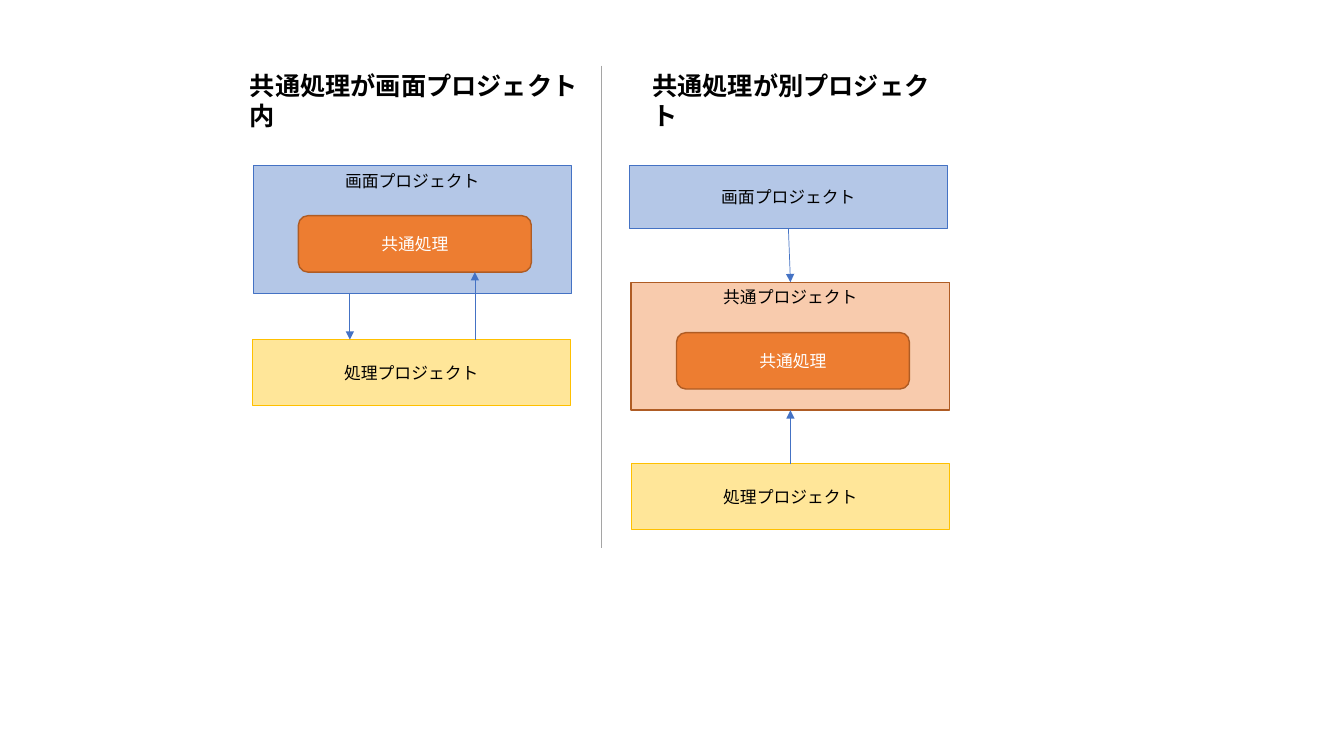
from dataclasses import dataclass

from lxml import etree
from pptx import Presentation
from pptx.dml.color import RGBColor
from pptx.enum.shapes import MSO_CONNECTOR, MSO_SHAPE
from pptx.enum.text import MSO_ANCHOR, MSO_AUTO_SIZE, PP_ALIGN
from pptx.oxml.ns import qn
from pptx.util import Inches, Pt

RECT, ROUNDED = MSO_SHAPE.RECTANGLE, MSO_SHAPE.ROUNDED_RECTANGLE
STRAIGHT = MSO_CONNECTOR.STRAIGHT
TOP, MIDDLE = MSO_ANCHOR.TOP, MSO_ANCHOR.MIDDLE
LEFT, CENTER = PP_ALIGN.LEFT, PP_ALIGN.CENTER
GROW = MSO_AUTO_SIZE.SHAPE_TO_FIT_TEXT
TOP_SIDE, BOTTOM_SIDE = 0, 2


@dataclass(frozen=True)
class Theme:
    font: str = "Noto Sans CJK JP"
    heading_size: int = 18
    label_size: int = 12
    thin: float = 0.5
    thick: float = 1
    dark: str = "000000"
    light: str = "FFFFFF"
    arrow: str = "4472C4"
    divider: str = "A5A5A5"


THEME = Theme()
STYLES = {
    "screen": ("B4C7E7", "4472C4", THEME.thin, THEME.dark),
    "process": ("FFE699", "FFC000", THEME.thin, THEME.dark),
    "common": ("F8CBAD", "AF5C24", THEME.thick, THEME.dark),
    "shared": ("ED7D31", "AF5C24", THEME.thick, THEME.light),
}

HEADINGS = [
    ("共通処理が画面プロジェクト内", 2.38, 3.46),
    ("共通処理が別プロジェクト", 6.37, 2.95),
]
SCREEN, PROCESS = "画面プロジェクト", "処理プロジェクト"
COMMON, SHARED = "共通プロジェクト", "共通処理"

HEAD_TOP, HEAD_HEIGHT = 0.65, 0.4
DIVIDER_X, DIVIDER_BOTTOM = 5.96, 5.44
BOX_WIDTH, LOW, PLAIN, TALL = 3.16, 0.63, 0.65, 1.27
FIRST_ROW = 1.64
INNER_SHIFT, INNER_DROP, INNER_WIDTH, INNER_HEIGHT = 0.45, 0.5, 2.31, 0.56
LEFT_GAP, RIGHT_GAP = 0.46, 0.53
CALL_X, RETURN_X = 3.47, 4.71


def rgb(code):
    return RGBColor.from_string(code)


def write(frame, text, size, color, align, anchor, bold=False):
    frame.text = text
    frame.word_wrap = True
    frame.vertical_anchor = anchor
    paragraph = frame.paragraphs[0]
    paragraph.alignment = align
    font = paragraph.runs[0].font
    font.name, font.size, font.bold = THEME.font, Pt(size), bold
    font.color.rgb = rgb(color)
    east_asian = etree.SubElement(paragraph.runs[0]._r.rPr, qn("a:ea"))
    east_asian.set("typeface", THEME.font)


def add_heading(slide, text, x, width):
    heading = slide.shapes.add_textbox(*map(Inches, (x, HEAD_TOP, width, HEAD_HEIGHT)))
    write(heading.text_frame, text, THEME.heading_size, THEME.dark, LEFT, TOP, True)
    heading.text_frame.auto_size = GROW


def add_box(slide, text, style, x, y, width, height, preset=RECT, anchor=MIDDLE):
    fill, line, weight, color = STYLES[style]
    box = slide.shapes.add_shape(preset, *map(Inches, (x, y, width, height)))
    box.shadow.inherit = False
    box.fill.solid()
    box.fill.fore_color.rgb = rgb(fill)
    box.line.color.rgb = rgb(line)
    box.line.width = Pt(weight)
    write(box.text_frame, text, THEME.label_size, color, CENTER, anchor)
    return box


def add_container(slide, text, style, x, y):
    outer = add_box(slide, text, style, x, y, BOX_WIDTH, TALL, anchor=TOP)
    inner = add_box(slide, SHARED, "shared", x + INNER_SHIFT, y + INNER_DROP,
                    INNER_WIDTH, INNER_HEIGHT, ROUNDED)
    return outer, inner


def add_line(slide, color, start=(0, 0), end=(0, 0), arrow=False):
    line = slide.shapes.add_connector(STRAIGHT, *map(Inches, (*start, *end)))
    line.line.color.rgb = rgb(color)
    line.line.width = Pt(THEME.thin)
    if arrow:
        etree.SubElement(line.line._get_or_add_ln(), qn("a:tailEnd")).set("type", "triangle")
    etree.SubElement(line._element.spPr, qn("a:effectLst"))
    return line


def join(slide, source, source_side, target, target_side):
    arrow = add_line(slide, THEME.arrow, arrow=True)
    arrow.begin_connect(source, source_side)
    arrow.end_connect(target, target_side)


def draw_inside_screen(slide):
    x = 2.51
    screen_bottom = FIRST_ROW + TALL
    process_top = screen_bottom + LEFT_GAP
    shared_bottom = FIRST_ROW + INNER_DROP + INNER_HEIGHT
    add_container(slide, SCREEN, "screen", x, FIRST_ROW)
    add_box(slide, PROCESS, "process", x - 0.01, process_top, BOX_WIDTH, PLAIN)
    add_line(slide, THEME.arrow, (CALL_X, screen_bottom), (CALL_X, process_top), True)
    add_line(slide, THEME.arrow, (RETURN_X, process_top), (RETURN_X, shared_bottom), True)


def draw_separate_project(slide):
    x = 6.26
    common_top = FIRST_ROW + LOW + RIGHT_GAP
    process_top = common_top + TALL + RIGHT_GAP
    screen = add_box(slide, SCREEN, "screen", x - 0.02, FIRST_ROW, BOX_WIDTH, LOW)
    process = add_box(slide, PROCESS, "process", x, process_top, BOX_WIDTH, PLAIN)
    common, _ = add_container(slide, COMMON, "common", x, common_top)
    join(slide, screen, BOTTOM_SIDE, common, TOP_SIDE)
    join(slide, process, TOP_SIDE, common, BOTTOM_SIDE)


def main():
    deck = Presentation()
    deck.slide_width, deck.slide_height = Inches(13.33), Inches(7.5)
    slide = deck.slides.add_slide(deck.slide_layouts.get_by_name("Blank"))
    for heading in HEADINGS:
        add_heading(slide, *heading)
    add_line(slide, THEME.divider, (DIVIDER_X, HEAD_TOP), (DIVIDER_X, DIVIDER_BOTTOM))
    draw_inside_screen(slide)
    draw_separate_project(slide)
    deck.save("out.pptx")


if __name__ == "__main__":
    main()
